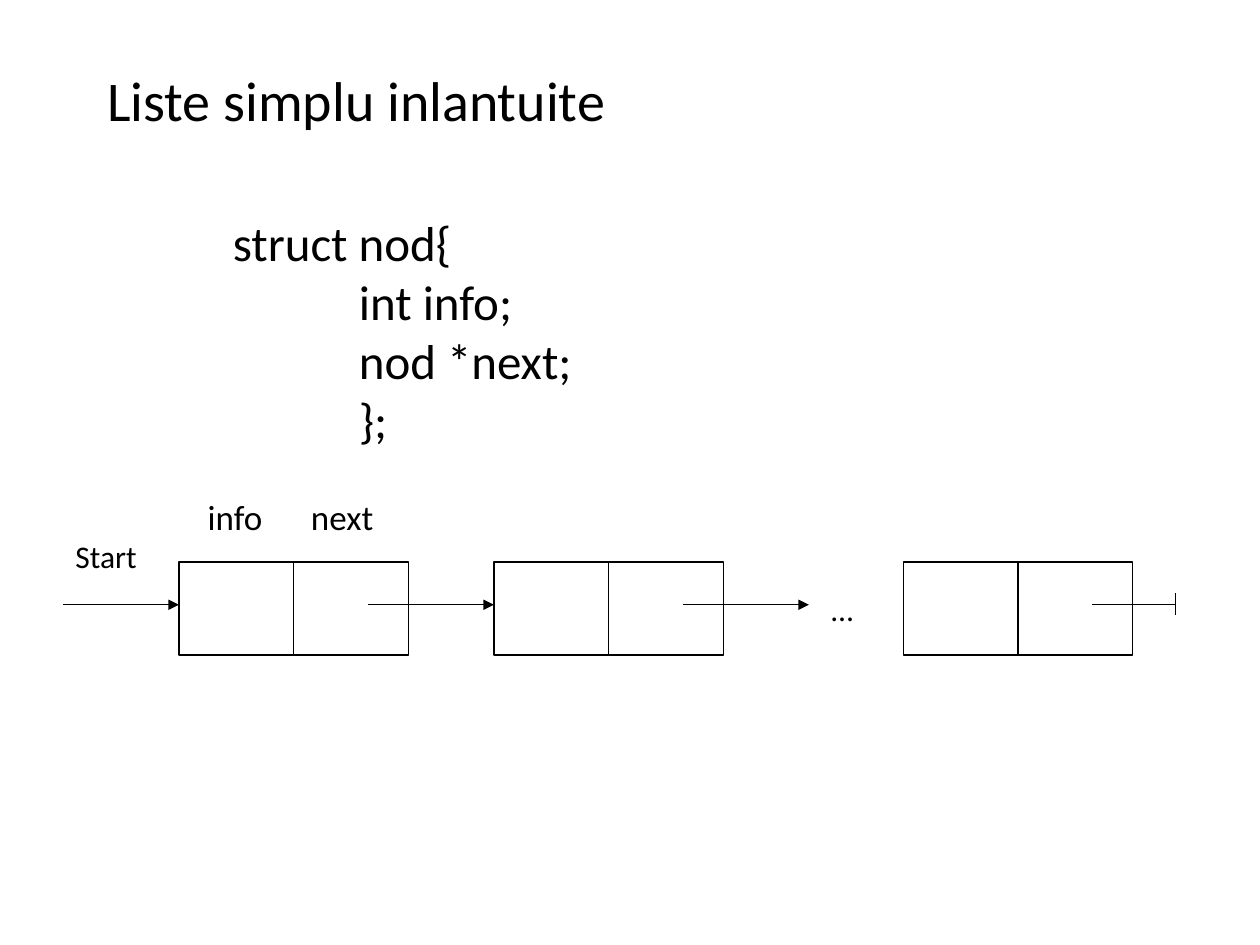
from pptx import Presentation
from pptx.dml.color import RGBColor
from pptx.enum.shapes import MSO_CONNECTOR, MSO_SHAPE
from pptx.enum.text import MSO_ANCHOR, PP_ALIGN
from pptx.oxml.ns import qn
from pptx.util import Inches, Pt
from lxml import etree

BLACK = RGBColor(0x00, 0x00, 0x00)
WHITE = RGBColor(0xFF, 0xFF, 0xFF)
FONT_NAME = "Calibri"
LINE_WIDTH = Pt(0.75)
STRAIGHT = MSO_CONNECTOR.STRAIGHT
RECTANGLE = MSO_SHAPE.RECTANGLE
MIDDLE = MSO_ANCHOR.MIDDLE
TOP = MSO_ANCHOR.TOP
LEFT = PP_ALIGN.LEFT

CELL_WIDTH = 0.91
CELL_HEIGHT = 0.74
CELL_TOP = 4.46
ARROW_Y = 4.8
POINTER_OFFSET = 1.5
POINTER_LENGTH = 1
NODE_LEFTS = (1.42, 3.92, 7.17)
END_X = 9.33


def add_tab_stop(paragraph, position):
    properties = paragraph._p.get_or_add_pPr()
    tab_list = etree.SubElement(properties, qn("a:tabLst"))
    etree.SubElement(tab_list, qn("a:tab"), pos=str(Inches(position)), algn="l")


def write_lines(text_frame, lines, size):
    for index, line in enumerate(lines):
        paragraph = text_frame.paragraphs[0] if index == 0 else text_frame.add_paragraph()
        paragraph.alignment = LEFT
        if "\t" in line:
            add_tab_stop(paragraph, 1)
        run = paragraph.add_run()
        run.text = line
        run.font.name = FONT_NAME
        run.font.size = Pt(size)
        run.font.color.rgb = BLACK


def set_title(slide, text):
    title = slide.shapes.title
    title.left, title.top = Inches(0.75), Inches(0.5)
    title.width, title.height = Inches(8.49), Inches(0.57)
    title.text_frame.vertical_anchor = MIDDLE
    write_lines(title.text_frame, [text], 32)


def add_text(slide, left, top, width, height, lines, size, wrap=True):
    box = slide.shapes.add_textbox(Inches(left), Inches(top), Inches(width), Inches(height))
    box.text_frame.word_wrap = wrap
    box.text_frame.vertical_anchor = TOP
    write_lines(box.text_frame, lines, size)


def add_node(slide, left):
    for column in range(2):
        cell = slide.shapes.add_shape(
            RECTANGLE, Inches(left + column * CELL_WIDTH), Inches(CELL_TOP),
            Inches(CELL_WIDTH), Inches(CELL_HEIGHT))
        cell.shadow.inherit = False
        cell.fill.solid()
        cell.fill.fore_color.rgb = WHITE
        cell.line.color.rgb = BLACK
        cell.line.width = LINE_WIDTH


def add_line(slide, start_x, start_y, end_x, end_y, arrow=False):
    connector = slide.shapes.add_connector(
        STRAIGHT, Inches(start_x), Inches(start_y), Inches(end_x), Inches(end_y))
    connector.line.color.rgb = BLACK
    connector.line.width = LINE_WIDTH
    if arrow:
        line = connector.line._get_or_add_ln()
        etree.SubElement(line, qn("a:tailEnd"), type="triangle")
    etree.SubElement(connector._element.spPr, qn("a:effectLst"))


def add_linked_list(slide):
    for left in NODE_LEFTS:
        add_node(slide, left)
    add_line(slide, 0.5, ARROW_Y, NODE_LEFTS[0], ARROW_Y, arrow=True)
    for left in NODE_LEFTS[:-1]:
        start = left + POINTER_OFFSET
        add_line(slide, start, ARROW_Y, start + POINTER_LENGTH, ARROW_Y, arrow=True)
    add_line(slide, NODE_LEFTS[-1] + POINTER_OFFSET, ARROW_Y, END_X, ARROW_Y)
    add_line(slide, END_X, 4.71, END_X, 4.88)


def main():
    presentation = Presentation()
    presentation.slide_width = Inches(10)
    presentation.slide_height = Inches(7.5)
    slide = presentation.slides.add_slide(presentation.slide_layouts[5])

    set_title(slide, "Liste simplu inlantuite")
    add_linked_list(slide)
    add_text(slide, 1.55, 3.88, 0.71, 0.42, ["info"], 20, wrap=False)
    add_text(slide, 2.37, 3.88, 0.8, 0.42, ["next"], 20, wrap=False)
    add_text(slide, 6.5, 4.63, 0.41, 0.39, ["…"], 18)
    add_text(slide, 0.5, 4.21, 0.82, 0.39, ["Start"], 18)
    code = ["struct nod{", "  \tint info;", "  \tnod *next;", "\t};"]
    add_text(slide, 1.75, 1.64, 6.57, 1.85, code, 28)

    presentation.save("out.pptx")


if __name__ == "__main__":
    main()
